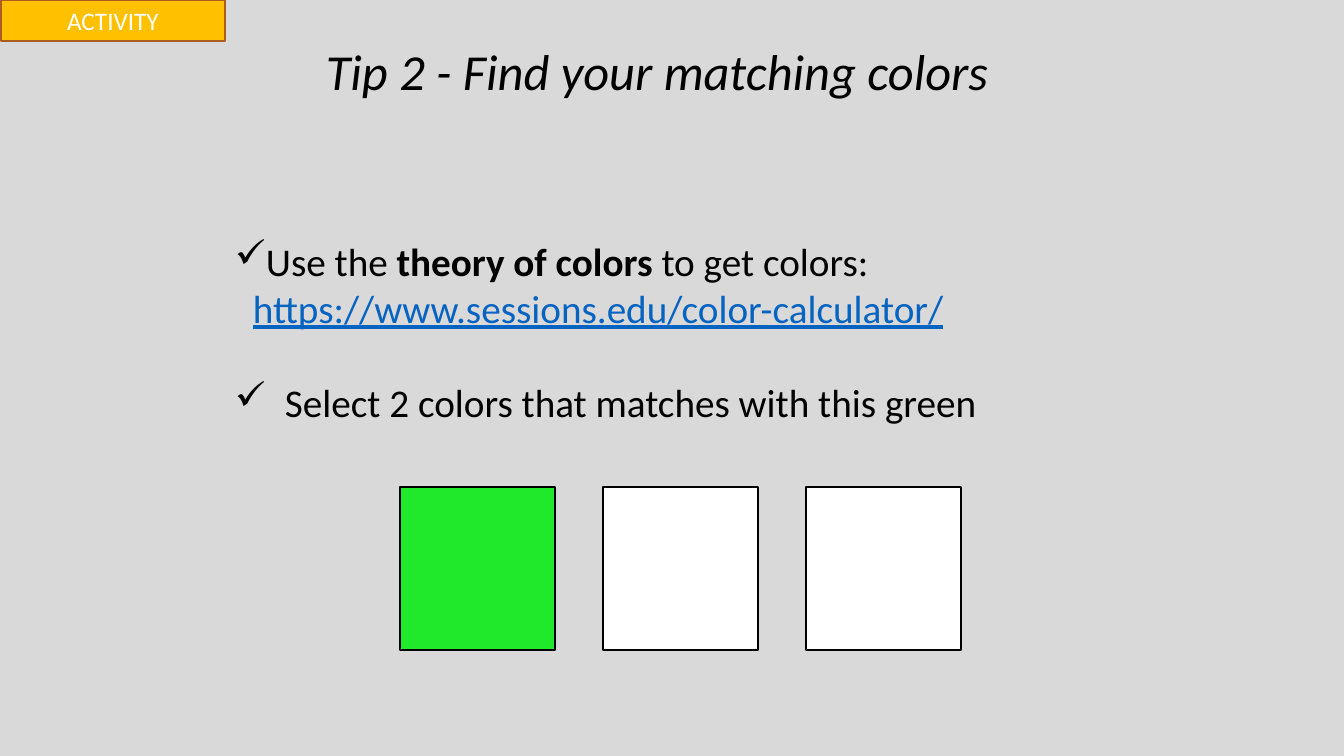
from dataclasses import dataclass

import lxml.etree
import pptx
import pptx.dml.color
import pptx.enum.shapes
import pptx.enum.text
import pptx.oxml.ns
import pptx.util

SLIDE_WIDTH, SLIDE_HEIGHT = 1344, 756
EMU_PER_PX = 12192000 / SLIDE_WIDTH
FONT = "Calibri"
BLACK, WHITE, GREEN = "000000", "FFFFFF", "20E82A"
BACKGROUND, AMBER, BROWN, LINK_BLUE = "D9D9D9", "FFC000", "AC5B23", "0563C1"


@dataclass(frozen=True)
class Box:
    left: int
    top: int
    width: int
    height: int


@dataclass(frozen=True)
class Style:
    size: int = 28
    color: str = BLACK
    bold: bool = False
    italic: bool = False
    underline: bool = False


@dataclass(frozen=True)
class Tip:
    pieces: tuple[tuple[str, Style], ...]
    margin: int
    bulleted: bool = True
    space_before: int = 0


PLAIN = Style()
TAG_BOX = Box(1, 0, 224, 41)
TITLE_BOX = Box(316, 35, 729, 72)
TIPS_BOX = Box(225, 232, 792, 201)
TIPS = (
    Tip((("Use the ", PLAIN), ("theory of colors ", Style(bold=True)),
         ("to get colors:", PLAIN)), margin=31),
    Tip((("https://www.sessions.edu/color-calculator/",
          Style(color=LINK_BLUE, underline=True)),), margin=18, bulleted=False),
    Tip((("Select 2 colors that matches with this green", PLAIN),),
        margin=50, space_before=34),
)
FIRST_SWATCH = Box(400, 487, 155, 163)
SWATCH_PITCH = 203
SWATCH_COLORS = (GREEN, WHITE, WHITE)


def px(length: int) -> int:
    return round(length * EMU_PER_PX)


def rgb(color: str) -> pptx.dml.color.RGBColor:
    return pptx.dml.color.RGBColor.from_string(color)


def place(box: Box) -> tuple[int, int, int, int]:
    return px(box.left), px(box.top), px(box.width), px(box.height)


def format_run(run, style: Style) -> None:
    run.font.name = FONT
    run.font.size = pptx.util.Pt(style.size)
    run.font.color.rgb = rgb(style.color)
    run.font.bold = style.bold
    run.font.italic = style.italic
    run.font.underline = style.underline


def add_rectangle(slide, box: Box, fill: str, line: str):
    rectangle = slide.shapes.add_shape(
        pptx.enum.shapes.MSO_SHAPE.RECTANGLE, *place(box))
    rectangle.shadow.inherit = False
    rectangle.fill.solid()
    rectangle.fill.fore_color.rgb = rgb(fill)
    rectangle.line.color.rgb = rgb(line)
    rectangle.line.width = pptx.util.Pt(1)
    return rectangle


def add_text_frame(slide, box: Box):
    frame = slide.shapes.add_textbox(*place(box)).text_frame
    frame.word_wrap = True
    return frame


def indent(paragraph, tip: Tip) -> None:
    """Set the left margin and, for a bulleted tip, hang a check mark in it."""
    properties = paragraph._p.get_or_add_pPr()
    properties.set("marL", str(px(tip.margin)))
    if tip.bulleted:
        properties.set("indent", str(-px(tip.margin)))
        bullet = lxml.etree.SubElement(properties, pptx.oxml.ns.qn("a:buChar"))
        bullet.set("char", "✓")


def add_tag(slide) -> None:
    tag = add_rectangle(slide, TAG_BOX, AMBER, BROWN)
    tag.text_frame.text = "ACTIVITY"
    label = tag.text_frame.paragraphs[0]
    label.alignment = pptx.enum.text.PP_ALIGN.CENTER
    format_run(label.runs[0], Style(size=18, color=WHITE))


def add_title(slide) -> None:
    frame = add_text_frame(slide, TITLE_BOX)
    frame.text = "Tip 2 - Find your matching colors"
    format_run(frame.paragraphs[0].runs[0], Style(size=36, italic=True))


def add_tips(slide) -> None:
    frame = add_text_frame(slide, TIPS_BOX)
    for index, tip in enumerate(TIPS):
        paragraph = frame.add_paragraph() if index else frame.paragraphs[0]
        indent(paragraph, tip)
        if tip.space_before:
            paragraph.space_before = pptx.util.Pt(tip.space_before)
        for text, style in tip.pieces:
            run = paragraph.add_run()
            run.text = text
            format_run(run, style)


def add_swatches(slide) -> None:
    for index, color in enumerate(SWATCH_COLORS):
        swatch_box = Box(FIRST_SWATCH.left + index * SWATCH_PITCH,
                         FIRST_SWATCH.top, FIRST_SWATCH.width, FIRST_SWATCH.height)
        add_rectangle(slide, swatch_box, color, BLACK)


def main() -> None:
    presentation = pptx.Presentation()
    presentation.slide_width = px(SLIDE_WIDTH)
    presentation.slide_height = px(SLIDE_HEIGHT)
    slide = presentation.slides.add_slide(presentation.slide_layouts[6])
    slide.background.fill.solid()
    slide.background.fill.fore_color.rgb = rgb(BACKGROUND)
    add_tag(slide)
    add_title(slide)
    add_tips(slide)
    add_swatches(slide)
    presentation.save("out.pptx")


if __name__ == "__main__":
    main()
